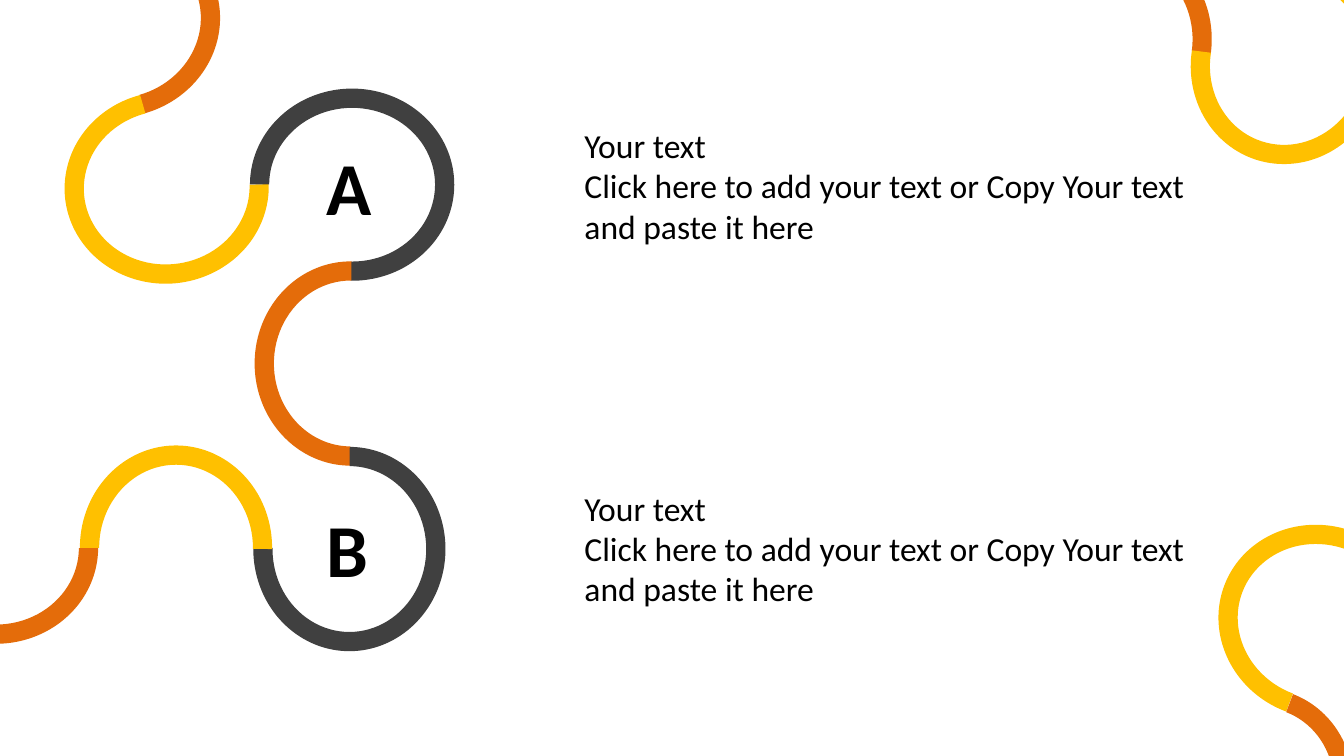
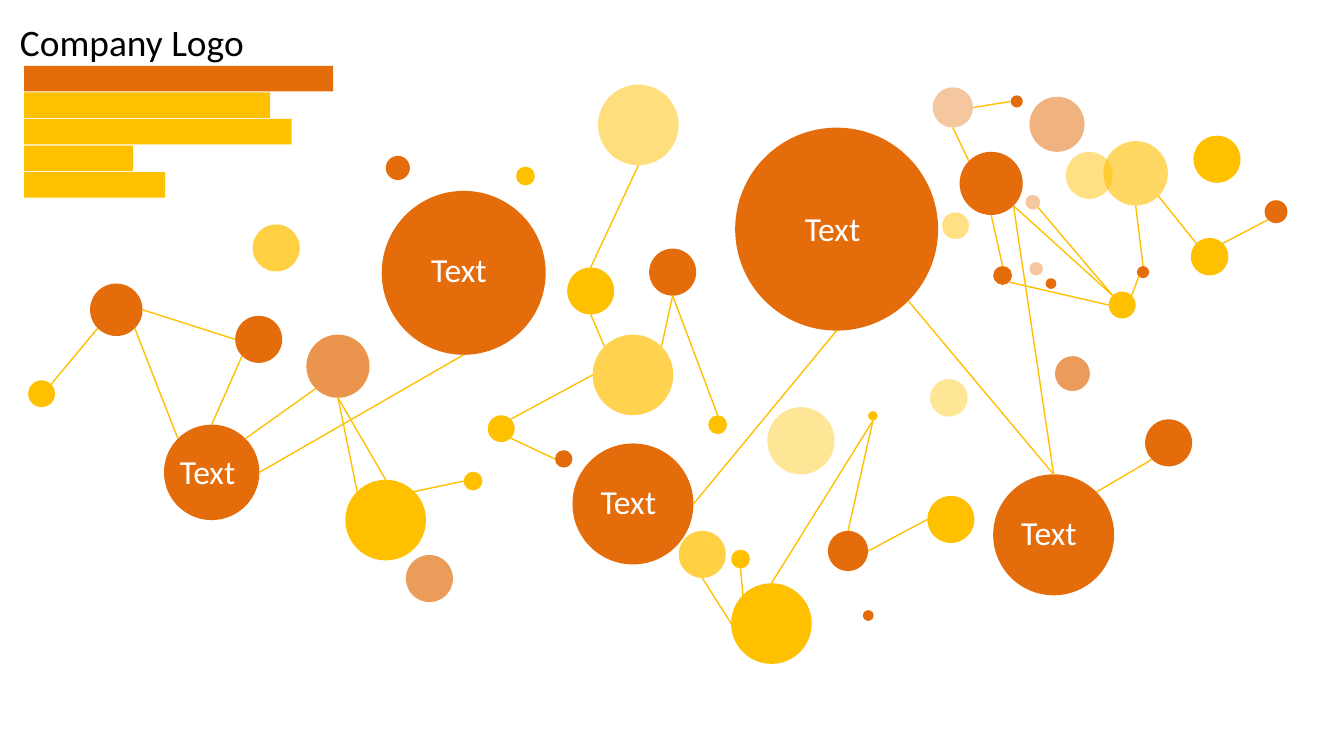
from dataclasses import dataclass
from math import cos, radians, sin

from lxml import etree
from pptx import Presentation
from pptx.dml.color import RGBColor
from pptx.enum.shapes import MSO_CONNECTOR, MSO_SHAPE
from pptx.enum.text import MSO_AUTO_SIZE
from pptx.oxml.ns import qn
from pptx.util import Inches, Pt

ARC = MSO_SHAPE.BLOCK_ARC
DISC = MSO_SHAPE.OVAL
BAR = MSO_SHAPE.RECTANGLE
STRAIGHT = MSO_CONNECTOR.STRAIGHT
GROW = MSO_AUTO_SIZE.SHAPE_TO_FIT_TEXT
BLANK = 6


@dataclass(frozen=True)
class Theme:
    font: str = "Calibri"
    orange: str = "E46C0A"
    gold: str = "FFC000"
    gray: str = "404040"
    black: str = "000000"
    white: str = "FFFFFF"
    body: int = 18
    logo: int = 20
    letter: int = 40
    line: float = 0.75


THEME = Theme()
ORANGE, GOLD, GRAY = THEME.orange, THEME.gold, THEME.gray

ARC_SIZE = (1.52, 1.43)
ARC_THICK = 0.1
LONG = (53.48, 215.88)
HALF = (107.74, 215.88)
HOOK = (53.48, 162.11)
TAIL = (160.16, 215.88)
BEND = (162.59, 0.46)
BOWL = (60.56, 214.12)

ARCS = [
    (0.12, -0.56, 165, BEND, ORANGE),
    (0.48, 0.68, 174.9, BOWL, GOLD),
    (1.86, 0.66, 0, LONG, GRAY),
    (1.85, 1.99, 270, HALF, ORANGE),
    (1.84, 3.37, 90, LONG, GRAY),
    (0.55, 3.36, 270, HOOK, GOLD),
    (-0.79, 3.36, 180, TAIL, ORANGE),
    (7.54, -0.41, 98.3, BEND, ORANGE),
    (8.82, -0.25, 108.2, BOWL, GOLD),
    (9.06, 3.91, 200.7, HOOK, GOLD),
    (8.59, 5.16, 110.7, TAIL, ORANGE),
]

STEPS = [("A", 1.0, 0.54, 0.88), ("B", 3.69, 0.52, 3.58)]
NOTE = [
    "Your text",
    "Click here to add your text or Copy Your text",
    "and paste it here",
]

NODES = {
    "a1": (0.21, 2.83, 0.2, GOLD),
    "a2": (0.67, 2.11, 0.39, ORANGE),
    "a3": (1.22, 3.16, 0.71, ORANGE),
    "a4": (1.75, 2.35, 0.35, ORANGE),
    "a5": (2.28, 2.49, 0.47, ORANGE, 72),
    "a6": (1.88, 1.67, 0.35, GOLD, 74),
    "a7": (2.57, 3.57, 0.6, GOLD),
    "a8": (3.02, 4.13, 0.35, ORANGE, 67),
    "a9": (3.45, 3.51, 0.14, GOLD),
    "b1": (3.63, 3.09, 0.2, GOLD),
    "b2": (2.84, 1.42, 1.22, ORANGE),
    "b3": (2.87, 1.16, 0.18, ORANGE),
    "b4": (3.84, 1.24, 0.14, GOLD),
    "b5": (4.22, 1.99, 0.35, GOLD),
    "b6": (4.41, 2.49, 0.6, GOLD, 69),
    "b7": (4.83, 1.85, 0.35, ORANGE),
    "b8": (4.45, 0.63, 0.6, GOLD, 51),
    "b9": (4.13, 3.35, 0.13, ORANGE),
    "c1": (4.26, 3.3, 0.9, ORANGE),
    "c2": (5.05, 3.95, 0.35, GOLD, 74),
    "c3": (5.44, 4.09, 0.14, GOLD),
    "c4": (5.44, 4.34, 0.6, GOLD),
    "c5": (6.42, 4.54, 0.08, ORANGE),
    "c6": (6.16, 3.95, 0.3, ORANGE),
    "c7": (6.9, 3.69, 0.35, GOLD),
    "c8": (5.27, 3.09, 0.14, GOLD),
    "c9": (5.71, 3.03, 0.5, GOLD, 41),
    "d1": (5.47, 0.95, 1.51, ORANGE),
    "d2": (6.46, 3.06, 0.07, GOLD),
    "d3": (6.92, 2.82, 0.28, GOLD, 41),
    "d4": (7.85, 2.65, 0.26, ORANGE, 67),
    "d5": (7.39, 3.53, 0.9, ORANGE),
    "d6": (8.52, 3.12, 0.35, ORANGE),
    "e1": (6.94, 0.65, 0.3, ORANGE, 38),
    "e2": (7.52, 0.71, 0.09, ORANGE),
    "e3": (7.14, 1.13, 0.47, ORANGE),
    "e4": (7.63, 1.45, 0.11, ORANGE, 38),
    "e5": (7.39, 1.98, 0.14, ORANGE),
    "e6": (7.78, 2.07, 0.08, ORANGE),
    "e7": (7.01, 1.58, 0.2, GOLD, 48),
    "e8": (7.66, 1.95, 0.1, ORANGE, 38),
    "f1": (8.25, 2.17, 0.2, GOLD),
    "f2": (7.66, 0.72, 0.41, ORANGE, 52),
    "f3": (7.93, 1.13, 0.35, GOLD, 48),
    "f4": (8.21, 1.05, 0.48, GOLD, 61),
    "f5": (8.88, 1.01, 0.35, GOLD),
    "f6": (9.41, 1.49, 0.17, ORANGE),
    "f7": (8.86, 1.77, 0.28, GOLD),
    "f8": (8.46, 1.98, 0.09, ORANGE),
}

SIDES = ["E", "SE", "S", "SW", "W", "NW", "N", "NE"]
LINKS = [
    ("a1", "NE", "a2", "SW"),
    ("a4", "W", "a2", "E"),
    ("a3", "NW", "a2", "SE"),
    ("a3", "N", "a4", "SW"),
    ("a3", "NE", "a5", "SW"),
    ("a3", "E", "b2", "S"),
    ("a7", "NW", "a5", "S"),
    ("a7", "N", "a5", "S"),
    ("a9", "W", "a7", "NE"),
    ("b9", "W", "b1", "SE"),
    ("b6", "W", "b1", "NE"),
    ("b6", "NW", "b5", "S"),
    ("b5", "N", "b8", "S"),
    ("b6", "NE", "b7", "S"),
    ("c8", "N", "b7", "S"),
    ("d1", "S", "c1", "E"),
    ("c4", "W", "c2", "S"),
    ("c4", "NW", "c3", "S"),
    ("c4", "N", "d2", "S"),
    ("c6", "N", "d2", "S"),
    ("c7", "W", "c6", "E"),
    ("d5", "N", "d1", "SE"),
    ("d6", "SW", "d5", "NE"),
    ("d5", "N", "e3", "SE"),
    ("e5", "N", "e3", "S"),
    ("f1", "W", "e5", "SE"),
    ("f1", "NE", "f8", "SW"),
    ("f8", "N", "f4", "S"),
    ("f7", "NW", "f4", "SE"),
    ("f6", "SW", "f7", "NE"),
    ("e3", "NW", "e1", "S"),
    ("e2", "W", "e1", "E"),
    ("f1", "NW", "e4", "SE"),
    ("f1", "NW", "e3", "SE"),
]

LABELS = [(1.24, 3.31), (3.11, 1.8), (5.89, 1.5), (4.37, 3.53), (7.5, 3.76)]

BARS = [2.3, 1.83, 1.99, 0.81, 1.05]
BAR_LEFT, BAR_TOP, BAR_HIGH = 0.18, 0.49, 0.19
BAR_STEP = 0.79 / 4


def add_form(slide, kind, x, y, wide, high, color, alpha=100):
    form = slide.shapes.add_shape(
        kind, Inches(x), Inches(y), Inches(wide), Inches(high))
    form.shadow.inherit = False
    form.line.fill.background()
    form.fill.solid()
    form.fill.fore_color.rgb = RGBColor.from_string(color)
    if alpha < 100:
        tint = next(form._element.spPr.iter(qn("a:srgbClr")))
        etree.SubElement(tint, qn("a:alpha"), val=str(alpha * 1000))
    return form


def add_arc(slide, x, y, turn, span, color):
    arc = add_form(slide, ARC, x, y, *ARC_SIZE, color)
    for i, value in enumerate((*span, ARC_THICK)):
        arc.adjustments[i] = value
    arc.rotation = turn
    arc._element.spPr.find(qn("a:xfrm")).set("flipH", "1")


def add_text(slide, lines, x, y, wide, high, size=THEME.body,
             color=THEME.black, bold=False, wrap=False):
    box = slide.shapes.add_textbox(
        Inches(x), Inches(y), Inches(wide), Inches(high))
    frame = box.text_frame
    frame.word_wrap = wrap
    frame.auto_size = GROW
    for i, line in enumerate(lines):
        para = frame.add_paragraph() if i else frame.paragraphs[0]
        run = para.add_run()
        run.text = line
        run.font.name = THEME.font
        run.font.size = Pt(size)
        run.font.bold = bold
        run.font.color.rgb = RGBColor.from_string(color)


def rim_point(node, side):
    x, y, size = NODES[node][:3]
    angle = radians(45 * SIDES.index(side))
    half = size / 2
    return (Inches(x + half + half * cos(angle)),
            Inches(y + half + half * sin(angle)))


def add_link(slide, start, leave, end, reach):
    link = slide.shapes.add_connector(
        STRAIGHT, *rim_point(start, leave), *rim_point(end, reach))
    link.line.color.rgb = RGBColor.from_string(GOLD)
    link.line.width = Pt(THEME.line)
    etree.SubElement(link._element.spPr, qn("a:effectLst"))


def draw_path(slide):
    for arc in ARCS:
        add_arc(slide, *arc)
    for letter, top, wide, note_top in STEPS:
        add_text(slide, [letter], 2.33, top, wide, 0.77,
                 size=THEME.letter, bold=True)
        add_text(slide, NOTE, 4.25, note_top, 4.68, 1.01, wrap=True)


def draw_web(slide):
    for x, y, size, *paint in NODES.values():
        add_form(slide, DISC, x, y, size, size, *paint)
    for link in LINKS:
        add_link(slide, *link)
    for i, wide in enumerate(BARS):
        add_form(slide, BAR, BAR_LEFT, BAR_TOP + i * BAR_STEP,
                 wide, BAR_HIGH, GOLD if i else ORANGE)
    for x, y in LABELS:
        add_text(slide, ["Text"], x, y, 0.62, 0.4, color=THEME.white)
    add_text(slide, ["Company Logo"], 0.05, 0.09, 1.88, 0.44,
             size=THEME.logo)


def main():
    deck = Presentation()
    deck.slide_width = Inches(10)
    deck.slide_height = Inches(10 * 9 / 16)
    for draw in (draw_path, draw_web):
        draw(deck.slides.add_slide(deck.slide_layouts[BLANK]))
    deck.save("out.pptx")


if __name__ == "__main__":
    main()
